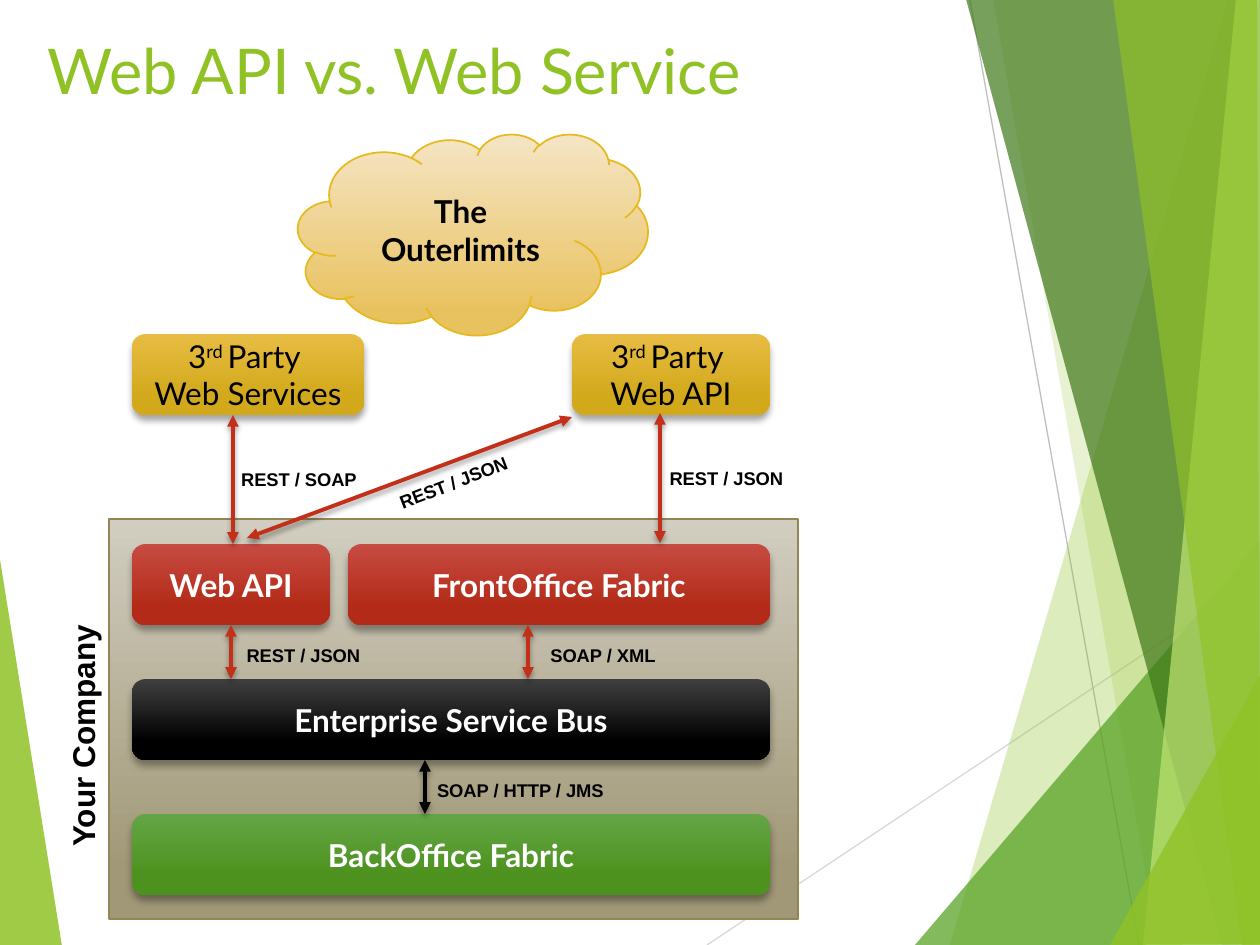
from lxml.etree import SubElement
from pptx import Presentation
from pptx.dml.color import RGBColor
from pptx.enum.shapes import MSO_CONNECTOR, MSO_SHAPE
from pptx.enum.text import MSO_ANCHOR, MSO_AUTO_SIZE, PP_ALIGN
from pptx.oxml.ns import qn
from pptx.util import Emu, Pt

SCALE = 914400 / 126
GOLD = ("E7BC43", "D2A91B")
RED = ("C74B42", "B32B18")
BLACK = ("3F3F3F", "000000")
GREEN = ("63A545", "4D921E")
ARROW_RED = "C42F1A"
LEFT, RIGHT, BOX_HEIGHT = 132, 770, 81
PARTNER_TOP, FRONT_TOP, BUS_TOP, BACK_TOP = 334, 544, 679, 814

FACETS = [
    ([(1228, 0), (950, 945), (1262, 946), (1261, 1)], "90C226", 30),
    ([(993, -1), (1158, 945), (1261, 945), (1261, -1)], "90C226", 20),
    ([(915, 945), (1260, 541), (1261, 945)], "54A021", 72),
    ([(966, -1), (1222, 945), (1261, 944), (1261, -1)], "3F7819", 70),
    ([(1236, -1), (1143, 945), (1261, 945), (1260, -1)], "C0E474", 70),
    ([(1113, -1), (1242, 945), (1260, 945), (1257, -1)], "90C226", 65),
    ([(1110, 945), (1261, 674), (1261, 944)], "90C226", 80),
]


def px(length):
    """Turn pixels into EMU."""
    return Emu(round(length * SCALE))


def color(value):
    """Turn a hex string into a colour."""
    return RGBColor.from_string(value)


def style_font(paragraph, name, size, text_color, bold=False):
    """Set the font of a whole paragraph."""
    font = paragraph.font
    font.name, font.size, font.bold = name, Pt(size), bold
    font.color.rgb = color(text_color)


def add_shadow(effects, blur, distance):
    """Add a soft shadow that falls straight down."""
    shadow = SubElement(effects, qn("a:outerShdw"), blurRad=str(Pt(blur)),
                        dist=str(Pt(distance)), dir="5400000", rotWithShape="0")
    tone = SubElement(shadow, qn("a:srgbClr"), val="000000")
    SubElement(tone, qn("a:alpha"), val="35000")


def add_facet(slide, points, fill_color, opacity):
    """Draw a translucent polygon of the background."""
    builder = slide.shapes.build_freeform(*points[0], scale=SCALE)
    builder.add_line_segments(points[1:], close=True)
    shape = builder.convert_to_shape()
    shape.shadow.inherit = False
    shape.fill.solid()
    shape.fill.fore_color.rgb = color(fill_color)
    shape.line.fill.background()
    tone = shape.fill._xPr.find(qn("a:solidFill")).find(qn("a:srgbClr"))
    SubElement(tone, qn("a:alpha"), val=str(opacity * 1000))


def add_line(slide, start, end, line_color, width):
    """Draw a straight line and return it with its empty effect list."""
    line = slide.shapes.add_connector(MSO_CONNECTOR.STRAIGHT, *map(px, start + end))
    line.line.color.rgb = color(line_color)
    line.line.width = Pt(width)
    return line, SubElement(line._element.spPr, qn("a:effectLst"))


def add_arrow(slide, start, end, line_color=ARROW_RED):
    """Draw a double-headed arrow with a shadow."""
    arrow, effects = add_line(slide, start, end, line_color, 2.25)
    outline = arrow._element.spPr.find(qn("a:ln"))
    for tag in ("a:headEnd", "a:tailEnd"):
        SubElement(outline, qn(tag), type="triangle")
    add_shadow(effects, 3, 2)


def add_gradient_shape(slide, preset, bounds, colors, last_stop, outline=None):
    """Draw a preset shape with a vertical gradient."""
    shape = slide.shapes.add_shape(preset, *map(px, bounds))
    shape.shadow.inherit = False
    shape.fill.gradient()
    shape.fill.gradient_angle = 270
    for stop, position, value in zip(shape.fill.gradient_stops, (0, last_stop), colors):
        stop.position = position
        stop.color.rgb = color(value)
    if outline:
        shape.line.color.rgb = color(outline)
        shape.line.width = Pt(1)
    else:
        shape.line.fill.background()
    return shape


def write_centered(shape, lines, text_color, bold=True):
    """Write centred lines, each a list of (text, superscript) runs."""
    frame = shape.text_frame
    frame.word_wrap = True
    frame.vertical_anchor = MSO_ANCHOR.MIDDLE
    for index, runs in enumerate(lines):
        paragraph = frame.add_paragraph() if index else frame.paragraphs[0]
        paragraph.alignment = PP_ALIGN.CENTER
        style_font(paragraph, "Lato", 18, text_color, bold)
        for text, superscript in runs:
            run = paragraph.add_run()
            run.text = text
            if superscript:
                run._r.get_or_add_rPr().set("baseline", "30000")


def add_box(slide, left, top, right, colors, lines, text_color="FFFFFF", bold=True):
    """Draw a rounded system box with its name."""
    bounds = (left, top, right - left, BOX_HEIGHT)
    box = add_gradient_shape(slide, MSO_SHAPE.ROUNDED_RECTANGLE, bounds, colors, 0.78)
    add_shadow(box._element.spPr.find(qn("a:effectLst")), 4, 3)
    write_centered(box, lines, text_color, bold)


def add_partner(slide, left, right, service):
    """Draw a box for a third-party service."""
    lines = [[("3", False), ("rd ", True), ("Party ", False)], [(service, False)]]
    add_box(slide, left, PARTNER_TOP, right, GOLD, lines, "000000", False)


def add_label(slide, text, bounds, size=10.5, rotation=0):
    """Add a bold unwrapped label."""
    label = slide.shapes.add_textbox(*map(px, bounds))
    label.rotation = rotation
    frame = label.text_frame
    frame.word_wrap = False
    frame.auto_size = MSO_AUTO_SIZE.SHAPE_TO_FIT_TEXT
    paragraph = frame.paragraphs[0]
    paragraph.text = text
    paragraph.alignment = PP_ALIGN.CENTER
    style_font(paragraph, "Arial", size, "000000", True)


def add_title(slide, text):
    """Add the slide title."""
    frame = slide.shapes.add_textbox(px(35), px(25), px(875), px(100)).text_frame
    frame.word_wrap = True
    frame.paragraphs[0].text = text
    style_font(frame.paragraphs[0], "Lato", 36, "90C226")


def add_background(slide):
    """Draw the lines and facets behind the content."""
    add_facet(slide, [(-1, 553), (62, 946), (-1, 945)], "90C226", 85)
    add_line(slide, (707, 945), (1261, 576), "D9D9D9", 0.75)
    add_line(slide, (970, 0), (1139, 945), "BFBFBF", 0.75)
    for points, fill_color, opacity in FACETS:
        add_facet(slide, points, fill_color, opacity)


def main():
    """Build the slide and save it."""
    presentation = Presentation()
    presentation.slide_width, presentation.slide_height = px(1260), px(945)
    slide = presentation.slides.add_slide(presentation.slide_layouts[6])
    add_background(slide)
    add_gradient_shape(slide, MSO_SHAPE.RECTANGLE, (109, 519, 689, 400),
                       ("D1CDC0", "A19877"), 0.88, "918655")
    add_title(slide, "Web API vs. Web Service")
    for left, top, right, colors, name in [
        (LEFT, BACK_TOP, RIGHT, GREEN, "BackOffice Fabric"),
        (348, FRONT_TOP, RIGHT, RED, "FrontOffice Fabric"),
        (LEFT, BUS_TOP, RIGHT, BLACK, "Enterprise Service Bus"),
        (LEFT, FRONT_TOP, 330, RED, "Web API"),
    ]:
        add_box(slide, left, top, right, colors, [[(name, False)]])
    cloud = add_gradient_shape(slide, MSO_SHAPE.CLOUD, (298, 134, 350, 201),
                               ("F5E5C5", "E9C260"), 0.88, "E6B91E")
    write_centered(cloud, [[("The Outerlimits", False)]], "000000")
    add_partner(slide, 572, RIGHT, "Web API")
    add_partner(slide, LEFT, 364, "Web Services")
    add_label(slide, "Your Company", (-42, 711, 249, 50), 18, 270)
    for x, top, bottom, line_color in [
        (231, FRONT_TOP + BOX_HEIGHT, BUS_TOP, ARROW_RED),
        (528, FRONT_TOP + BOX_HEIGHT, BUS_TOP, ARROW_RED),
        (425, BUS_TOP + BOX_HEIGHT, BACK_TOP, "000000"),
        (233, PARTNER_TOP + BOX_HEIGHT, FRONT_TOP, ARROW_RED),
        (660, PARTNER_TOP + BOX_HEIGHT - 2, FRONT_TOP - 1, ARROW_RED),
    ]:
        add_arrow(slide, (x, top), (x, bottom), line_color)
    add_arrow(slide, (572, 417), (247, 538))
    for text, left, top, width, rotation in [
        ("REST / JSON", 233, 638, 141, 0),
        ("SOAP / XML", 537, 638, 132, 0),
        ("SOAP / HTTP / JMS", 423, 773, 195, 0),
        ("REST / SOAP", 228, 462, 142, 0),
        ("REST / JSON", 383, 465, 141, 339),
        ("REST / JSON", 656, 461, 141, 0),
    ]:
        add_label(slide, text, (left, top, width, 35), rotation=rotation)
    presentation.save("out.pptx")


if __name__ == "__main__":
    main()
